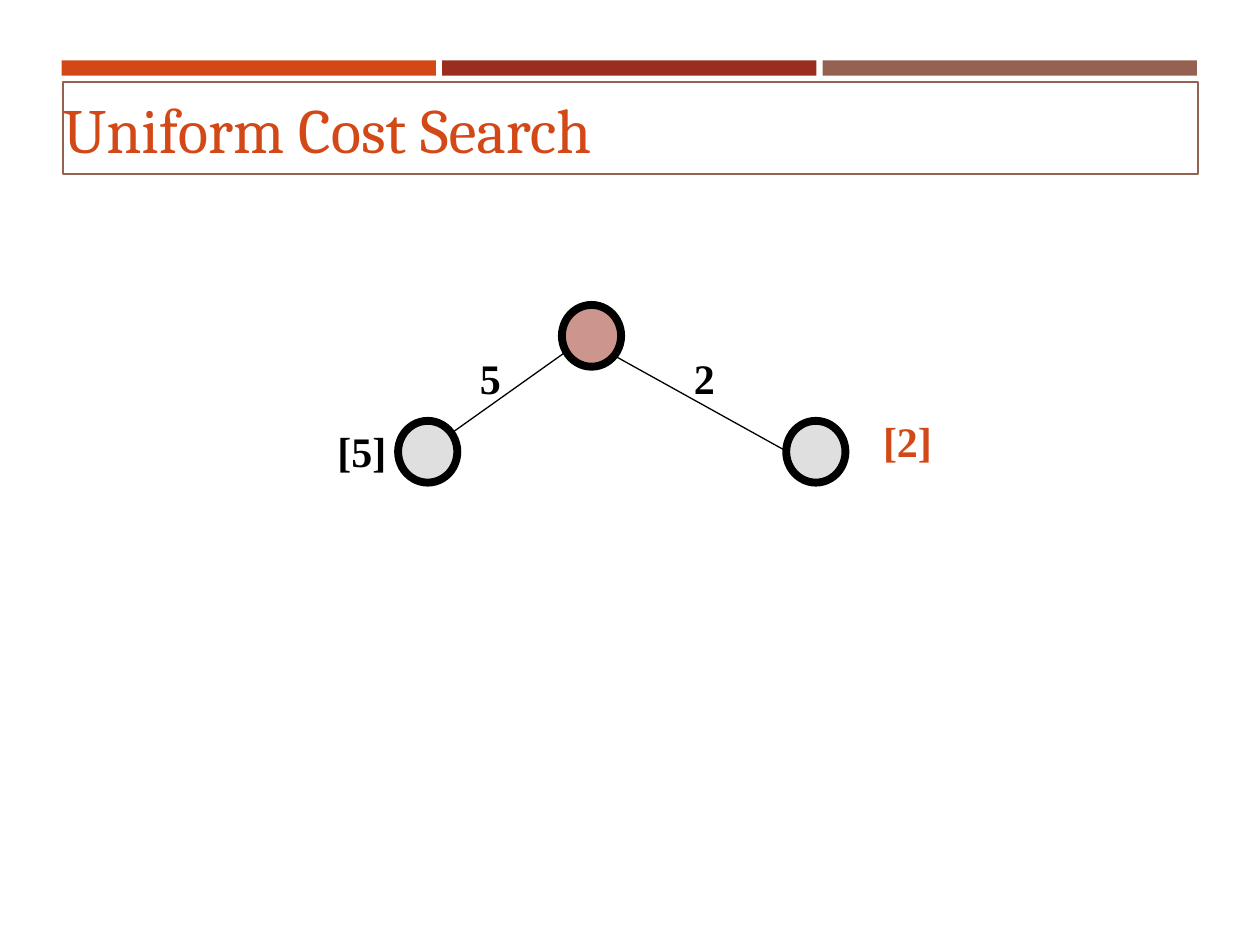
import pptx
import pptx.util
import pptx.dml.color
import pptx.oxml
import pptx.oxml.ns
import pptx.enum.shapes
import pptx.enum.text
from pptx.util import Inches

ORANGE, RED, BROWN = "D34817", "9B2D1F", "956251"
BLACK, SILVER = "000000", "C0C0C0"


def rgb(value):
    return pptx.dml.color.RGBColor.from_string(value)


def set_text(tf, text, **font):
    """Write one left-aligned run and apply the font values to it."""
    p = tf.paragraphs[0]
    p.alignment = pptx.enum.text.PP_ALIGN.LEFT
    r = p.add_run()
    r.text = text
    r.font.color.rgb = rgb(font.pop("color"))
    for name, value in font.items():
        setattr(r.font, name, value)


prs = pptx.Presentation()
prs.slide_width, prs.slide_height = Inches(10), Inches(7.5)
s = prs.slides.add_slide(prs.slide_layouts[5])
shapes = s.shapes
SHAPE = pptx.enum.shapes.MSO_SHAPE

# Title
title = shapes.title
title.left, title.top = Inches(0.5), Inches(0.71)
title.width, title.height = Inches(9.01), Inches(0.61)
title.line.color.rgb = rgb(BROWN)
title.line.width = pptx.util.Pt(1)
tf = title.text_frame
frame_format = {
    "margin_left": 0, "margin_top": 0, "margin_right": 0, "margin_bottom": 0,
    "word_wrap": True,
    "vertical_anchor": pptx.enum.text.MSO_ANCHOR.MIDDLE,
    "auto_size": pptx.enum.text.MSO_AUTO_SIZE.SHAPE_TO_FIT_TEXT,
}
for name, value in frame_format.items():
    setattr(tf, name, value)
set_text(tf, "Uniform Cost Search", name="Cambria", size=pptx.util.Pt(36), color=ORANGE)

# Three bars across the top
for i, color in enumerate([ORANGE, RED, BROWN]):
    bar = shapes.add_shape(SHAPE.RECTANGLE, Inches(0.49 + 3.02 * i), Inches(0.48),
                           Inches(2.97), Inches(0.12))
    bar.shadow.inherit = False
    bar.fill.solid()
    bar.fill.fore_color.rgb = rgb(color)
    bar.line.fill.background()

# Tree nodes, half transparent
for left, top, color in [(4.46, 2.42, RED), (3.16, 3.34, SILVER), (6.24, 3.34, SILVER)]:
    node = shapes.add_shape(SHAPE.OVAL, Inches(left), Inches(top), Inches(0.47), Inches(0.49))
    node.shadow.inherit = False
    node.fill.solid()
    node.fill.fore_color.rgb = rgb(color)
    srgb = node.fill._xPr.find(".//" + pptx.oxml.ns.qn("a:srgbClr"))
    srgb.append(pptx.oxml.parse_xml(
        f'<a:alpha {pptx.oxml.ns.nsdecls("a")} val="50000"/>'))
    node.line.color.rgb = rgb(BLACK)
    node.line.width = pptx.util.Pt(4.5)

# Tree edges
for x1, y1, x2, y2 in [(4.48, 2.8, 3.58, 3.44), (4.87, 2.82, 6.24, 3.58)]:
    edge = shapes.add_connector(pptx.enum.shapes.MSO_CONNECTOR.STRAIGHT,
                                Inches(x1), Inches(y1), Inches(x2), Inches(y2))
    edge.line.color.rgb = rgb(BLACK)
    edge.line.width = pptx.util.Pt(0.75)
    edge._element.spPr.append(pptx.oxml.parse_xml(
        f'<a:effectLst {pptx.oxml.ns.nsdecls("a")}/>'))

# Edge costs and path costs
labels = [
    ("2", 5.41, 2.75, 0.37, BLACK),
    ("5", 3.71, 2.75, 0.37, BLACK),
    ("[5]", 2.58, 3.33, 0.59, BLACK),
    ("[2]", 6.91, 3.25, 0.59, ORANGE),
]
for text, left, top, width, color in labels:
    label = shapes.add_textbox(Inches(left), Inches(top), Inches(width), Inches(0.5))
    tf = label.text_frame
    tf.word_wrap = False
    tf.auto_size = pptx.enum.text.MSO_AUTO_SIZE.SHAPE_TO_FIT_TEXT
    set_text(tf, text, name="Times New Roman", size=pptx.util.Pt(24), bold=True, color=color)

prs.save("out.pptx")
